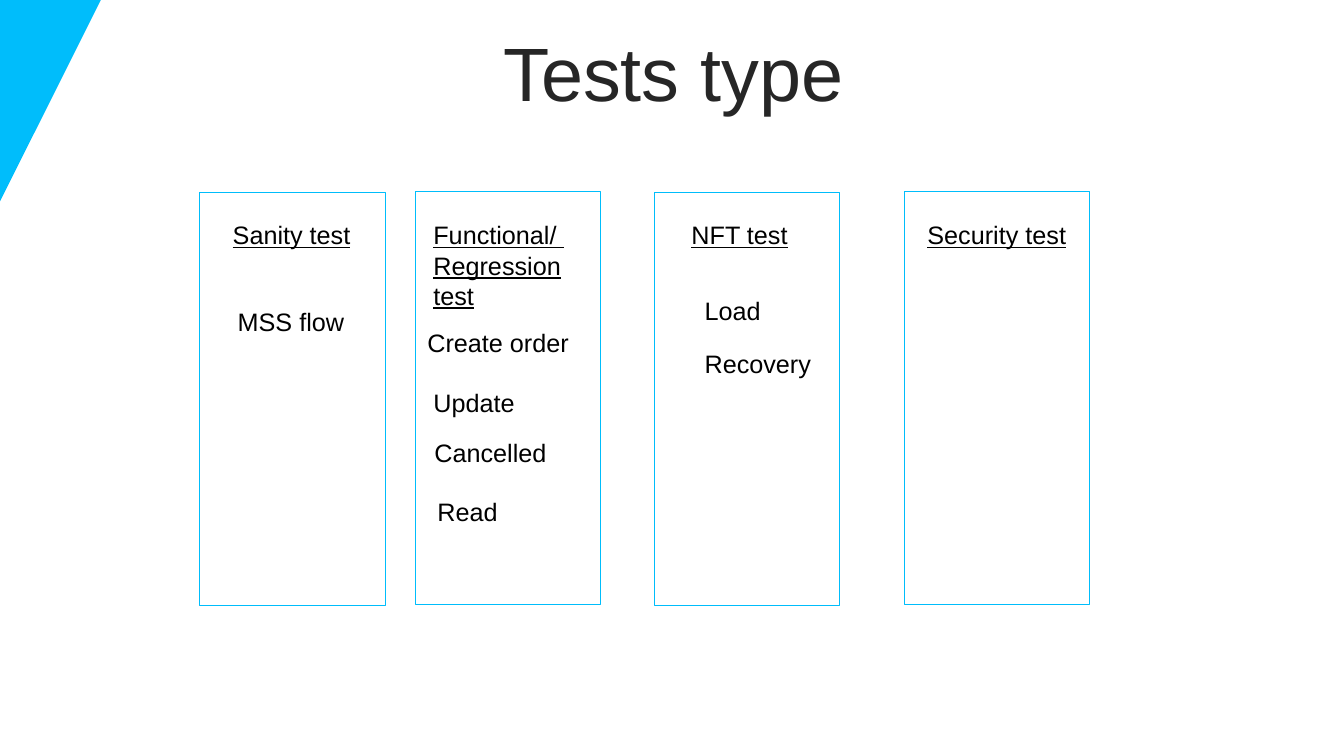
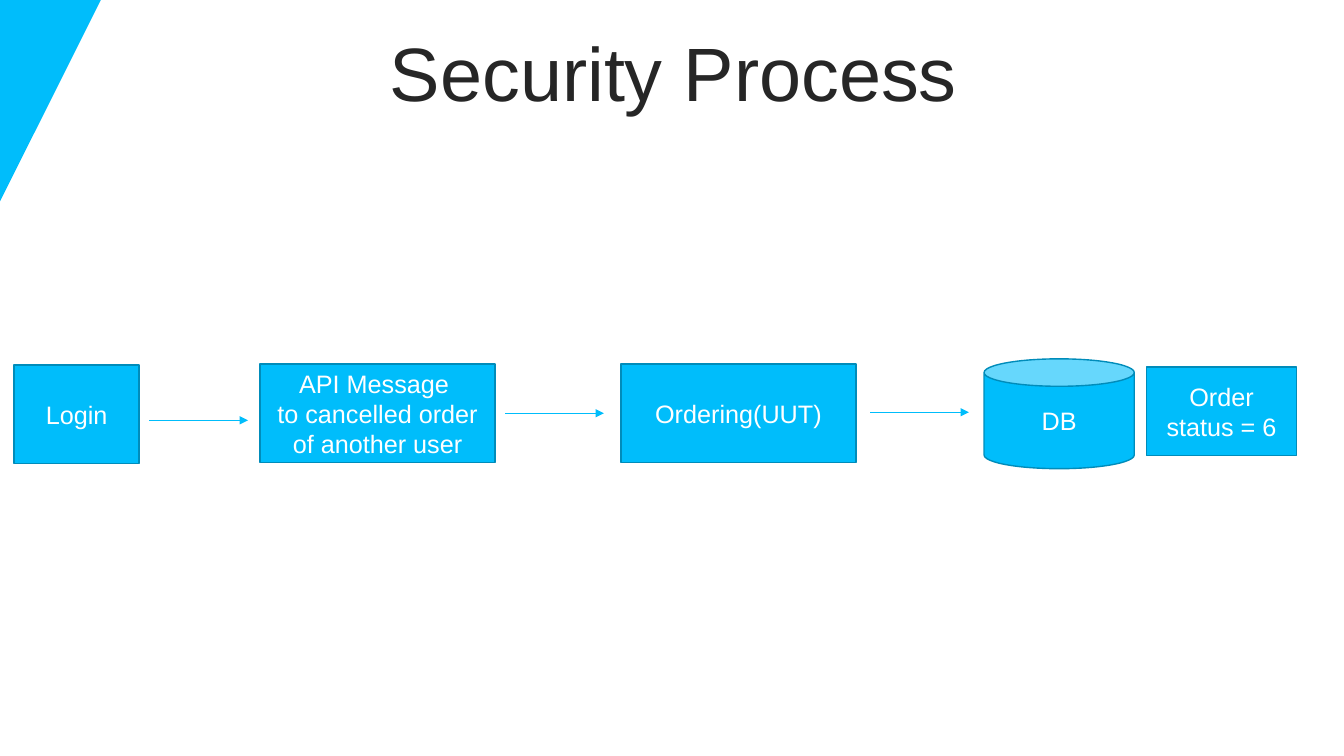
from lxml.etree import SubElement
from pptx import Presentation
from pptx.dml.color import RGBColor
from pptx.enum.shapes import MSO_CONNECTOR, MSO_SHAPE
from pptx.enum.text import MSO_ANCHOR, PP_ALIGN
from pptx.oxml.ns import qn
from pptx.util import Inches, Pt

BLUE, EDGE, DARK, BLACK, WHITE = "00BDFB", "008CBA", "262626", "000000", "FFFFFF"
STRIPES = [
    (0, 0.21, 0, 0.59),
    (0.28, 0.39, 0.77, 1.06),
    (0.45, 0.66, 1.23, 1.82),
    (0.73, 0.83, 2, 2.29),
]
rgb = RGBColor.from_string


def write(shape, text, color, size=18, align=PP_ALIGN.LEFT, under=None):
    para = shape.text_frame.paragraphs[0]
    para.text = text
    para.alignment = align
    font = para.font
    font.name = "Arial"
    font.size = Pt(size)
    font.color.rgb = rgb(color)
    font.underline = under
    return para


def start(title):
    slide = deck.slides.add_slide(deck.slide_layouts[6])
    pen = slide.shapes.build_freeform(scale=Inches(1))
    for near, far, high, low in STRIPES:
        pen.move_to(near, 0)
        pen.add_line_segments([(far, 0), (0, low), (0, high)])
    band = pen.convert_to_shape()
    band.shadow.inherit = False
    band.fill.solid()
    band.fill.fore_color.rgb = rgb(BLUE)
    band.line.fill.background()
    head = slide.shapes.add_textbox(Inches(0.35), Inches(0.37), Inches(12.66), Inches(0.79))
    head.text_frame.word_wrap = True
    head.text_frame.vertical_anchor = MSO_ANCHOR.MIDDLE
    write(head, title, DARK, 54, PP_ALIGN.CENTER).line_spacing = 0.9
    return slide.shapes


deck = Presentation()
deck.slide_width = Inches(13.33)
deck.slide_height = Inches(7.5)

shapes = start("Tests type")
for left, top in [(1.98, 1.91), (4.12, 1.9), (6.49, 1.91), (8.97, 1.9)]:
    frame = shapes.add_shape(
        MSO_SHAPE.RECTANGLE, Inches(left), Inches(top), Inches(1.84), Inches(4.1)
    )
    frame.shadow.inherit = False
    frame.fill.background()
    frame.line.color.rgb = rgb(BLUE)
    frame.line.width = Pt(0.75)

heads = [
    (2.21, 1.38, 0.4, "Sanity test"),
    (4.2, 1.51, 1.01, "Functional/ \nRegression\ntest"),
    (6.76, 1.17, 0.4, "NFT test"),
    (9.1, 1.59, 0.4, "Security test"),
]
items = [
    (2.26, 2.99, 1.27, "MSS flow"),
    (4.14, 3.2, 1.62, "Create order"),
    (4.2, 3.79, 1.02, "Update"),
    (4.21, 4.29, 1.32, "Cancelled"),
    (4.24, 4.87, 0.81, "Read"),
    (6.89, 2.88, 0.76, "Load"),
    (6.89, 3.41, 1.27, "Recovery"),
]
labels = [(left, 2.13, width, height, text, True) for left, width, height, text in heads]
labels += [(left, top, width, 0.4, text, None) for left, top, width, text in items]
for left, top, width, height, text, under in labels:
    label = shapes.add_textbox(Inches(left), Inches(top), Inches(width), Inches(height))
    label.text_frame.word_wrap = False
    write(label, text, BLACK, under=under)

shapes = start("Security Process")
steps = [
    (MSO_SHAPE.RECTANGLE, 0.14, 3.62, 1.24, 0.98, "Login"),
    (MSO_SHAPE.RECTANGLE, 2.58, 3.61, 2.33, 0.98,
     "API Message \nto cancelled order\nof another user"),
    (MSO_SHAPE.RECTANGLE, 6.16, 3.61, 2.33, 0.98, "Ordering(UUT)"),
    (MSO_SHAPE.CAN, 9.76, 3.56, 1.49, 1.09, "DB"),
    (MSO_SHAPE.RECTANGLE, 11.37, 3.64, 1.49, 0.88, "Order status = 6"),
]
for kind, left, top, width, height, text in steps:
    step = shapes.add_shape(kind, Inches(left), Inches(top), Inches(width), Inches(height))
    step.shadow.inherit = False
    step.fill.solid()
    step.fill.fore_color.rgb = rgb(BLUE)
    step.line.color.rgb = rgb(EDGE)
    step.line.width = Pt(1)
    step.text_frame.word_wrap = True
    step.text_frame.vertical_anchor = MSO_ANCHOR.MIDDLE
    write(step, text, WHITE, align=PP_ALIGN.CENTER)

for left, top in [(1.48, 4.17), (5.01, 4.1), (8.63, 4.09)]:
    arrow = shapes.add_connector(
        MSO_CONNECTOR.STRAIGHT, Inches(left), Inches(top), Inches(left + 0.98), Inches(top)
    )
    arrow.line.color.rgb = rgb(BLUE)
    arrow.line.width = Pt(0.5)
    SubElement(arrow.line._get_or_add_ln(), qn("a:tailEnd"), type="triangle")
    SubElement(arrow._element.spPr, qn("a:effectLst"))

deck.save("out.pptx")
